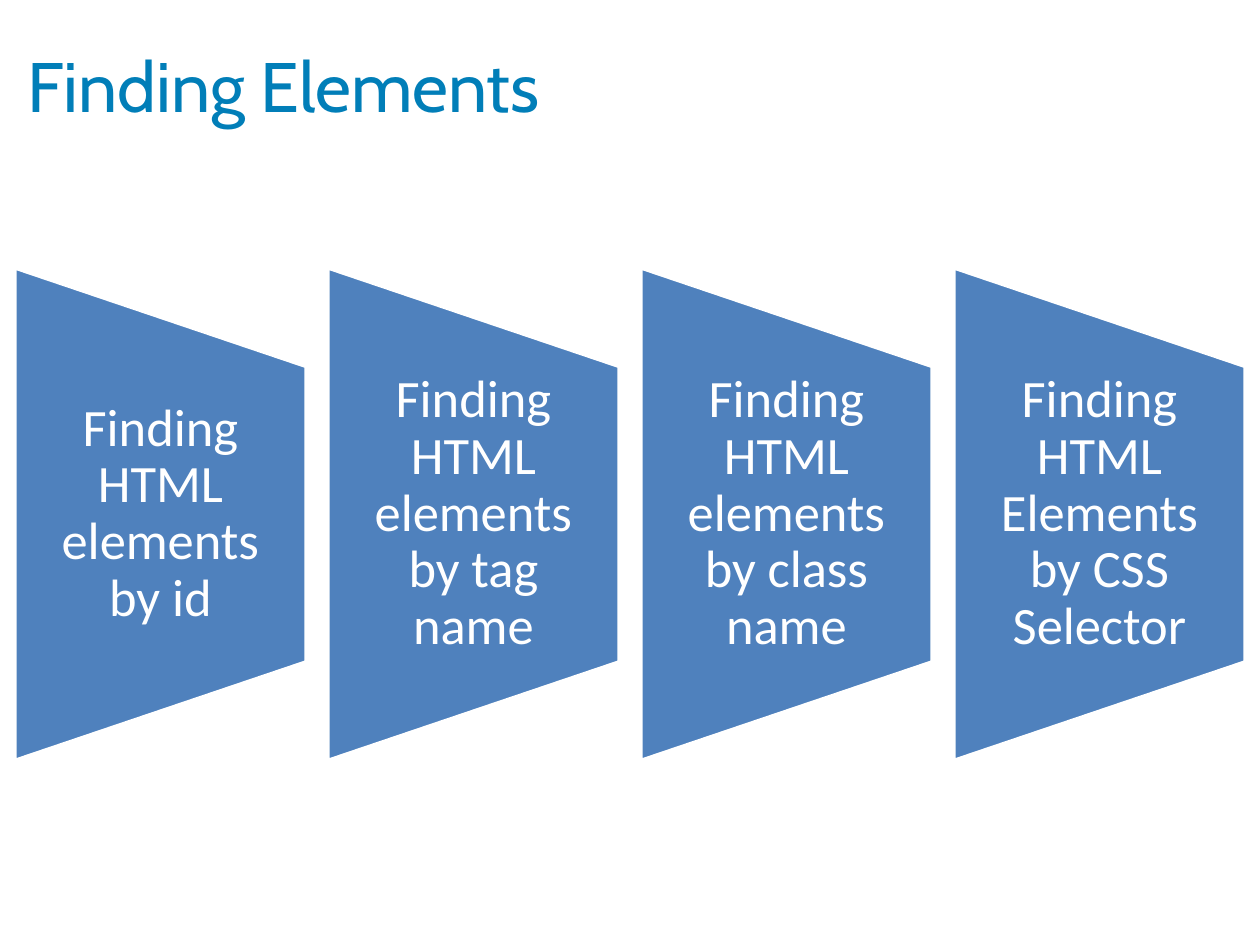
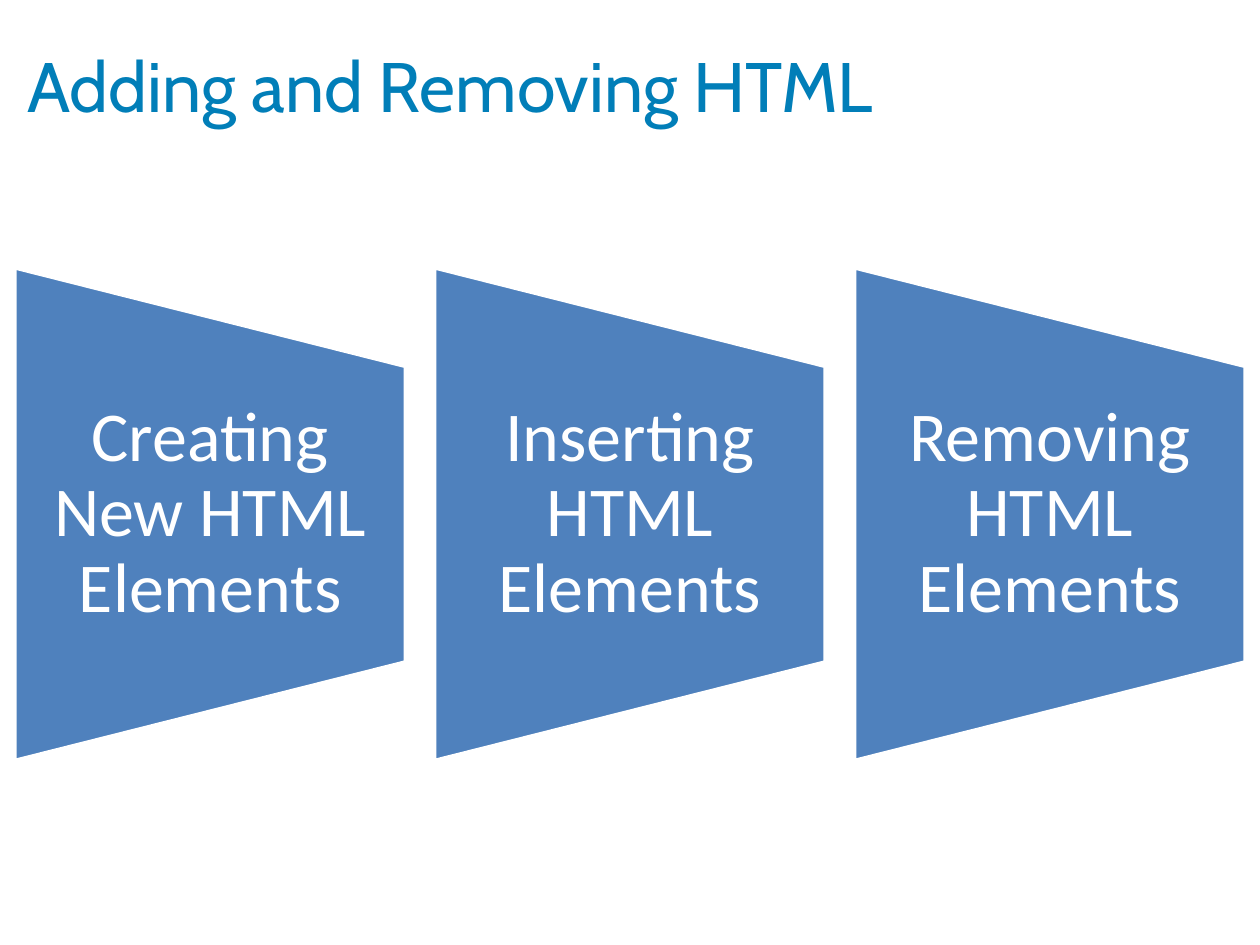
from dataclasses import dataclass

from pptx import Presentation
from pptx.dml.color import RGBColor
from pptx.enum.shapes import MSO_SHAPE
from pptx.enum.text import MSO_ANCHOR, PP_ALIGN
from pptx.util import Cm, Pt

TRAPEZOID = MSO_SHAPE.FLOWCHART_MANUAL_OPERATION
MIDDLE = MSO_ANCHOR.MIDDLE
LEFT, CENTER = PP_ALIGN.LEFT, PP_ALIGN.CENTER
TITLE_ONLY = 5


@dataclass(frozen=True)
class Theme:
    title_color: RGBColor = RGBColor(0x01, 0x7E, 0xB8)
    panel_color: RGBColor = RGBColor(0x4F, 0x81, 0xBD)
    white: RGBColor = RGBColor(0xFF, 0xFF, 0xFF)
    title_font: str = "Cabin"
    panel_font: str = "Calibri"
    title_size: int = 40
    panel_line: int = 2


@dataclass(frozen=True)
class Box:
    left: int
    top: int
    width: int
    height: int


THEME = Theme()
TITLE_BOX = Box(Cm(0.3), Cm(0.43), Cm(24.8), Cm(2.54))
PANEL_BOX = Box(Cm(0.3), Cm(5.4), Cm(24.8), Cm(9.93))
GAP_RATIO = 0.075  # gap between panels, as a share of panel width
LABEL_RATIO = 0.6  # label height, as a share of panel height

SLIDES = [
    ("Finding Elements", 30, [
        "Finding HTML elements by id",
        "Finding HTML elements by tag name",
        "Finding HTML elements by class name",
        "Finding HTML Elements by CSS Selector",
    ]),
    ("Adding and Removing HTML", 40, [
        "Creating New HTML Elements",
        "Inserting HTML Elements",
        "Removing HTML Elements",
    ]),
]


def write(p, text, font, size, color, align):
    p.alignment = align
    r = p.add_run()
    r.text = text
    r.font.name = font
    r.font.size = Pt(size)
    r.font.color.rgb = color


def place_title(slide, box, text):
    title = slide.shapes.title
    title.left, title.top = box.left, box.top
    title.width, title.height = box.width, box.height
    tf = title.text_frame
    tf.vertical_anchor = MIDDLE
    write(tf.paragraphs[0], text, THEME.title_font, THEME.title_size,
          THEME.title_color, LEFT)


def add_trapezoid(shapes, box):
    """Fill the box with a trapezoid turned so that it narrows to the right."""
    left = box.left + (box.width - box.height) // 2
    top = box.top + (box.height - box.width) // 2
    sp = shapes.add_shape(TRAPEZOID, left, top, box.height, box.width)
    sp.rotation = 270
    sp.shadow.inherit = False
    sp.fill.solid()
    sp.fill.fore_color.rgb = THEME.panel_color
    sp.line.color.rgb = THEME.white
    sp.line.width = Pt(THEME.panel_line)


def add_label(shapes, box, text, size):
    height = int(box.height * LABEL_RATIO)
    top = box.top + (box.height - height) // 2
    tf = shapes.add_textbox(box.left, top, box.width, height).text_frame
    tf.word_wrap = True
    tf.vertical_anchor = MIDDLE
    tf.margin_left = tf.margin_right = Pt(size / 2)
    tf.margin_top = tf.margin_bottom = 0
    p = tf.paragraphs[0]
    p.line_spacing = 0.9
    write(p, text, THEME.panel_font, size, THEME.white, CENTER)


def add_panel_row(slide, box, labels, size):
    count = len(labels)
    width = box.width / (count + (count - 1) * GAP_RATIO)
    pitch = width * (1 + GAP_RATIO)
    shapes = slide.shapes.add_group_shape().shapes
    for i, text in enumerate(labels):
        panel = Box(int(box.left + i * pitch), box.top, int(width), box.height)
        add_trapezoid(shapes, panel)
        add_label(shapes, panel, text, size)


def main():
    prs = Presentation()
    prs.slide_width, prs.slide_height = Cm(25.4), Cm(19.05)
    for title, size, labels in SLIDES:
        slide = prs.slides.add_slide(prs.slide_layouts[TITLE_ONLY])
        place_title(slide, TITLE_BOX, title)
        add_panel_row(slide, PANEL_BOX, labels, size)
    prs.save("out.pptx")


if __name__ == "__main__":
    main()
